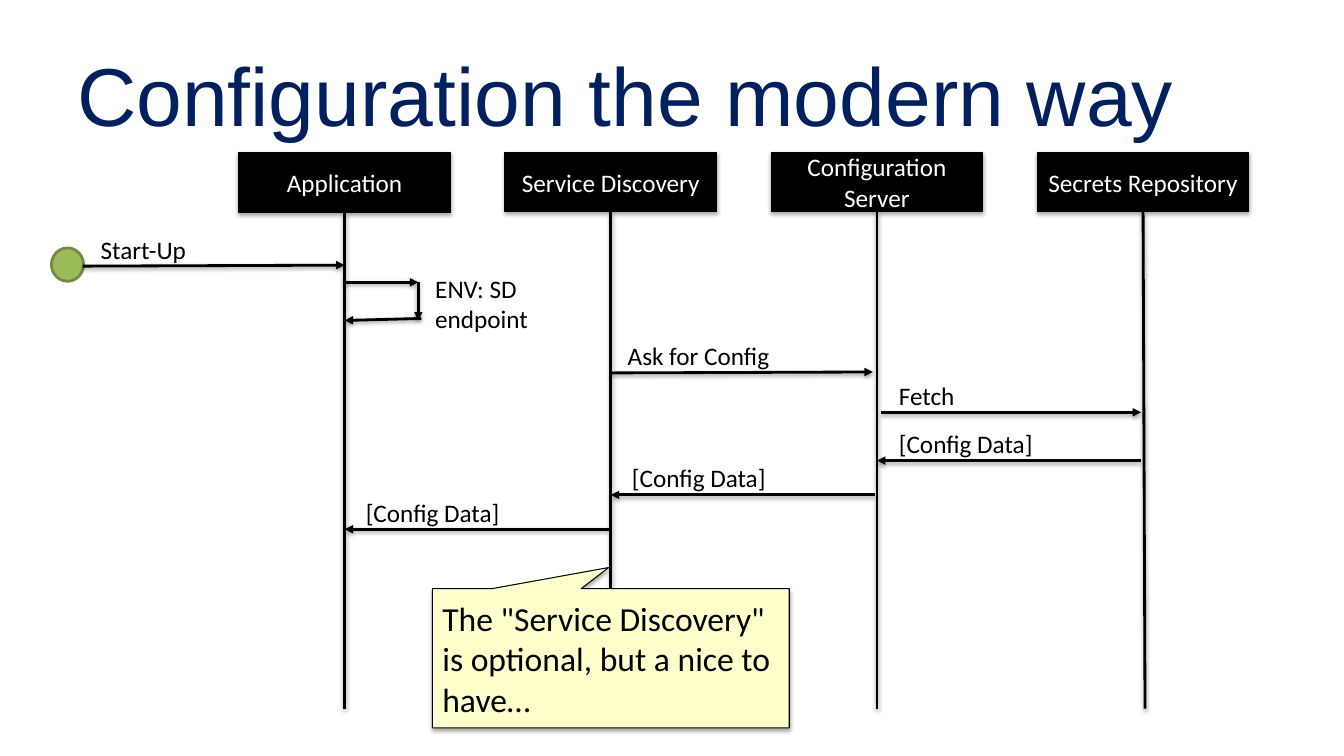
from lxml.etree import SubElement
from pptx import Presentation
from pptx.dml.color import RGBColor
from pptx.enum.shapes import MSO_CONNECTOR, MSO_SHAPE
from pptx.enum.text import MSO_ANCHOR, MSO_AUTO_SIZE, PP_ALIGN
from pptx.oxml.ns import qn
from pptx.util import Pt

BLACK = RGBColor(0x00, 0x00, 0x00)
WHITE = RGBColor(0xFF, 0xFF, 0xFF)
NAVY = RGBColor(0x00, 0x20, 0x60)
GREEN = RGBColor(0x9B, 0xBB, 0x59)
DARK_GREEN = RGBColor(0x73, 0x8A, 0x42)
NOTE_YELLOW = RGBColor(0xFF, 0xFF, 0xCC)

# Lanes and messages, in points relative to the diagram box
PARTICIPANTS = ["Application", "Service Discovery", "Configuration Server", "Secrets Repository"]
FIRST_LANE, LANE_PITCH = 209.5, 190.1
HEAD_WIDTH, HEAD_HEIGHT = 151.2, 42.5
LIFELINE_BOTTOM = 397.4
# Text, from lane, start gap, to lane, end gap, start y, end y, label gap
MESSAGES = [
    ("Ask for Config", 1, 0, 2, -2.9, 157.7, 157, 5),
    ("Fetch", 2, 2.9, 3, -1.5, 185.8, 185.8, 8.6),
    ("[Config Data]", 3, -1.4, 2, 0, 220.3, 220.3, 8.6),
    ("[Config Data]", 2, -1.4, 1, 0, 244.8, 244.8, 8),
    ("[Config Data]", 1, -1.4, 0, 0, 269.3, 269.3, 8),
]


def lane_x(lane):
    return FIRST_LANE + LANE_PITCH * lane


def write_text(shape, text, size, color, font="Calibri", align=PP_ALIGN.LEFT, anchor=MSO_ANCHOR.MIDDLE):
    frame = shape.text_frame
    frame.text = text
    frame.word_wrap = True
    frame.vertical_anchor = anchor
    paragraph = frame.paragraphs[0]
    paragraph.alignment = align
    formats = {"name": font, "size": Pt(size), "bold": False}
    for name, value in formats.items():
        setattr(paragraph.runs[0].font, name, value)
    paragraph.runs[0].font.color.rgb = color


def add_shadow(effects, opacity, distance):
    """Put a soft shadow, falling straight down, in an effect list."""
    shadow = SubElement(effects, qn("a:outerShdw"), blurRad=str(Pt(3.1)), dist=str(Pt(distance)),
                        dir="5400000", rotWithShape="0")
    color = SubElement(shadow, qn("a:srgbClr"), val=str(BLACK))
    SubElement(color, qn("a:alpha"), val=str(opacity * 1000))


def add_filled_shape(slide, kind, box, fill, line, width, shadowed=True):
    shape = slide.shapes.add_shape(kind, *map(Pt, box))
    shape.fill.solid()
    shape.fill.fore_color.rgb = fill
    shape.line.color.rgb = line
    shape.line.width = Pt(width)
    shape.shadow.inherit = False
    if shadowed:
        add_shadow(shape._element.spPr.find(qn("a:effectLst")), 35, 1.8)
    return shape


def add_line(slide, start, end, arrow=True):
    connector = slide.shapes.add_connector(MSO_CONNECTOR.STRAIGHT, *map(Pt, (*start, *end)))
    connector.line.color.rgb = BLACK
    connector.line.width = Pt(2)
    properties = connector._element.spPr
    if arrow:
        SubElement(properties.find(qn("a:ln")), qn("a:tailEnd"), type="triangle")
    add_shadow(SubElement(properties, qn("a:effectLst")), 38, 1.6)


def add_label(slide, text, left, top, width=134.6, height=29):
    label = slide.shapes.add_textbox(*map(Pt, (left, top, width, height)))
    write_text(label, text, 18, BLACK, anchor=MSO_ANCHOR.TOP)
    label.text_frame.auto_size = MSO_AUTO_SIZE.SHAPE_TO_FIT_TEXT


def add_title(slide, box):
    title = slide.shapes.title
    for name, value in zip(("left", "top", "width", "height"), box):
        setattr(title, name, Pt(value))
    write_text(title, "Configuration the modern way", 58.7, NAVY, font="Arial")
    title.text_frame.auto_size = MSO_AUTO_SIZE.NONE


def add_participants(slide, left, top):
    for lane, name in enumerate(PARTICIPANTS):
        center = left + lane_x(lane)
        height = HEAD_HEIGHT + (0.7 if lane == 0 else 0)
        box = (center - HEAD_WIDTH / 2, top, HEAD_WIDTH, height)
        head = add_filled_shape(slide, MSO_SHAPE.RECTANGLE, box, BLACK, BLACK, 0.75)
        write_text(head, name, 18, WHITE, align=PP_ALIGN.CENTER)
        drift = 1.4 if lane == 3 else 0
        add_line(slide, (center, top + height), (center + drift, top + LIFELINE_BOTTOM), arrow=False)


def add_start_up(slide, left, top):
    add_filled_shape(slide, MSO_SHAPE.OVAL, (left, top + 68.4, 23, 23.8), GREEN, DARK_GREEN, 2, shadowed=False)
    add_line(slide, (left + 22.3, top + 81.4), (left + lane_x(0), top + 80.7))
    add_label(slide, "Start-Up", left + 28.1, top + 54.8)


def add_self_call(slide, left, top):
    """Loop from the application lifeline back to itself."""
    lane = left + lane_x(0)
    add_line(slide, (lane, top + 92.9), (lane + 52.6, top + 92.9))
    add_line(slide, (lane + 52.6, top + 92.9), (lane + 52.6, top + 120.2))
    add_line(slide, (lane + 54.7, top + 118.8), (lane, top + 120.2))
    add_label(slide, "ENV: SD endpoint", lane + 57.6, top + 82.8, 85, 51)


def add_messages(slide, left, top):
    for text, source, start_gap, target, end_gap, start_y, end_y, label_gap in MESSAGES:
        start = (left + lane_x(source) + start_gap, top + start_y)
        end = (left + lane_x(target) + end_gap, top + end_y)
        add_line(slide, start, end)
        add_label(slide, text, left + lane_x(min(source, target)) + label_gap, top + start_y - 26.6)


def add_callout(slide, box):
    callout = add_filled_shape(slide, MSO_SHAPE.RECTANGULAR_CALLOUT, box, NOTE_YELLOW, BLACK, 0.75)
    callout.adjustments[0] = -0.006
    callout.adjustments[1] = -0.652
    write_text(callout, 'The "Service Discovery" is optional, but a nice to have…', 24, BLACK)


def add_sequence_diagram(slide, left, top):
    add_participants(slide, left, top)
    add_start_up(slide, left, top)
    add_self_call(slide, left, top)
    add_messages(slide, left, top)
    add_callout(slide, (left + 272.2, top + 311.8, 254.9, 99.4))


def main():
    presentation = Presentation()
    presentation.slide_width = Pt(960)
    presentation.slide_height = Pt(540)
    slide = presentation.slides.add_slide(presentation.slide_layouts[5])
    add_title(slide, (48, 21.6, 864, 90))
    add_sequence_diagram(slide, 36.7, 108.7)
    presentation.save("out.pptx")


if __name__ == "__main__":
    main()
